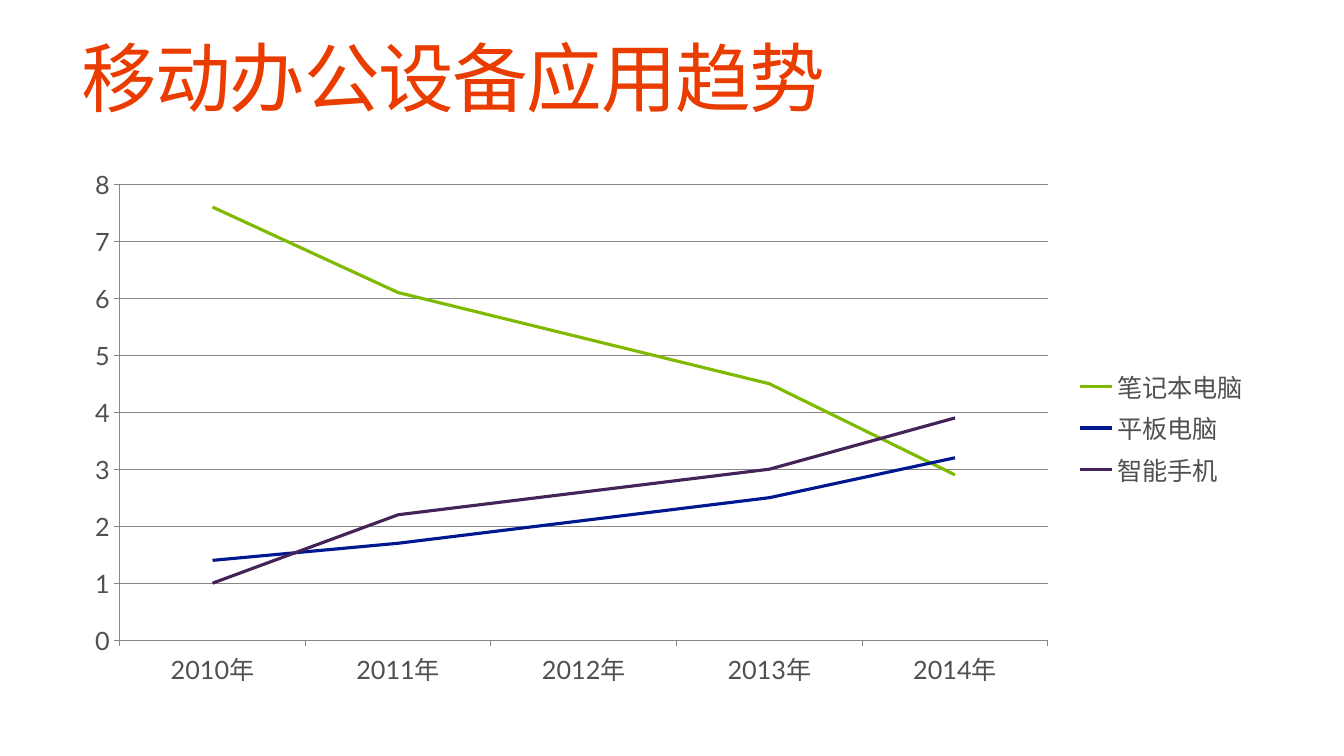
"""Build a slide with a line chart of mobile office device trends."""
from lxml.etree import SubElement
from pptx import Presentation
from pptx.chart.data import CategoryChartData
from pptx.dml.color import RGBColor
from pptx.enum.chart import XL_CHART_TYPE, XL_LEGEND_POSITION, XL_MARKER_STYLE, XL_TICK_MARK
from pptx.enum.text import MSO_ANCHOR, MSO_AUTO_SIZE, PP_ALIGN
from pptx.oxml.ns import qn
from pptx.util import Cm, Pt

ORANGE = RGBColor(0xEB, 0x3C, 0x00)
GREEN = RGBColor(0x7F, 0xBA, 0x00)
NAVY = RGBColor(0x00, 0x18, 0x8F)
PURPLE = RGBColor(0x44, 0x23, 0x59)
TEXT_GRAY = RGBColor(0x50, 0x50, 0x50)
LINE_GRAY = RGBColor(0x86, 0x86, 0x86)
CJK_FONT = "Noto Sans CJK SC"

DEVICES = [
    ("笔记本电脑", GREEN, (7.6, 6.1, 5.3, 4.5, 2.9)),
    ("平板电脑", NAVY, (1.4, 1.7, 2.1, 2.5, 3.2)),
    ("智能手机", PURPLE, (1, 2.2, 2.6, 3, 3.9)),
]
LEFT, WIDTH = Cm(1.8), Cm(29.95)

deck = Presentation()
deck.slide_width, deck.slide_height = Cm(33.87), Cm(19.05)
slide = deck.slides.add_slide(deck.slide_layouts[5])

title = slide.shapes.title
title.left, title.top, title.width, title.height = LEFT, Cm(1.02), WIDTH, Cm(1.75)
heading = title.text_frame
heading.text = "移动办公设备应用趋势"
heading.auto_size = MSO_AUTO_SIZE.NONE
heading.vertical_anchor = MSO_ANCHOR.MIDDLE
heading.margin_top, heading.margin_bottom = Cm(0.35), Cm(0)
heading_line = heading.paragraphs[0]
heading_line.alignment = PP_ALIGN.LEFT
heading_line.line_spacing = 0.9
heading_run = heading_line.runs[0]
heading_run.font.size = Pt(54)
heading_run.font.color.rgb = ORANGE
heading_run.font.name = CJK_FONT
heading_props = heading_run.font._element
heading_props.set("spc", "-100")
SubElement(heading_props, qn("a:ea"), typeface=CJK_FONT)

trend_data = CategoryChartData()
trend_data.categories = [f"{year}年" for year in range(2010, 2015)]
for device, _, usage in DEVICES:
    trend_data.add_series(device, usage)
trend = slide.shapes.add_chart(
    XL_CHART_TYPE.LINE, LEFT, Cm(3.99), WIDTH, Cm(13.59), trend_data
).chart
trend.has_title = False
trend.font.size = Pt(18)
trend.font.name = "Lato"
trend.font.color.rgb = TEXT_GRAY
SubElement(trend.font._element, qn("a:ea"), typeface=CJK_FONT)
trend.has_legend = True
trend.legend.position = XL_LEGEND_POSITION.RIGHT
trend.legend.include_in_layout = False
trend.plots[0].vary_by_categories = False

for line, (_, color, _) in zip(trend.plots[0].series, DEVICES):
    line.smooth = False
    line.marker.style = XL_MARKER_STYLE.NONE
    line.format.line.color.rgb = color
    line.format.line.width = Pt(2.25)

years, usage_scale = trend.category_axis, trend.value_axis
usage_scale.minimum_scale, usage_scale.maximum_scale = 0, 8
usage_scale.major_unit = 1
usage_scale.has_major_gridlines = True
for axis in (years, usage_scale):
    axis.major_tick_mark = XL_TICK_MARK.OUTSIDE
    axis.minor_tick_mark = XL_TICK_MARK.NONE
for rule in (years, usage_scale, usage_scale.major_gridlines):
    rule.format.line.color.rgb = LINE_GRAY
    rule.format.line.width = Pt(0.75)

deck.save("out.pptx")
